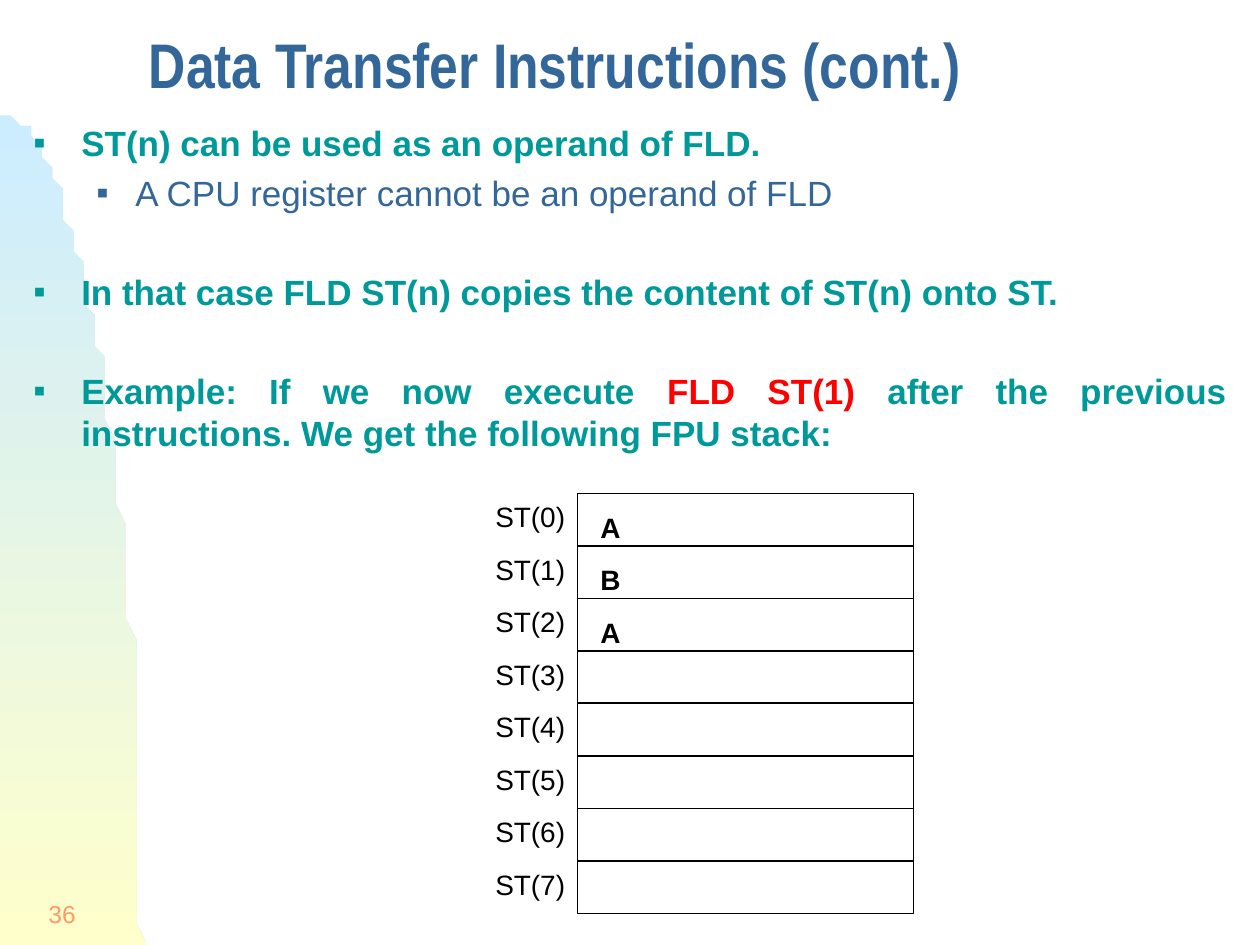
from lxml import etree
from pptx import Presentation
from pptx.dml.color import RGBColor
from pptx.enum.shapes import MSO_SHAPE
from pptx.enum.text import MSO_ANCHOR, PP_ALIGN
from pptx.oxml.ns import qn
from pptx.util import Inches, Pt

RECT = MSO_SHAPE.RECTANGLE
TOP, MIDDLE = MSO_ANCHOR.TOP, MSO_ANCHOR.MIDDLE
LEFT, RIGHT, JUSTIFY = PP_ALIGN.LEFT, PP_ALIGN.RIGHT, PP_ALIGN.JUSTIFY
COLORS = {"blue": "336699", "teal": "009999", "red": "FF0000", "black": "010000",
          "orange": "FF9966", "sky": "CCECFF", "cream": "FFFFCC"}
RGB = {name: RGBColor.from_string(value) for name, value in COLORS.items()}

# The slide is a grid of 120 columns by 90 rows
COLS, ROWS = 120, 90
U = Inches(10) // COLS

prs = Presentation()
prs.slide_width, prs.slide_height = COLS * U, ROWS * U
s = prs.slides.add_slide(prs.slide_layouts[6])


def add_run(p, text, size, color, bold=False, font="Arial"):
    r = p.add_run()
    r.text = text
    r.font.size, r.font.name, r.font.bold = Pt(size), font, bold
    r.font.color.rgb = RGB[color]


def add_box(col, row, width, height, wrap=True, anchor=TOP, align=LEFT):
    """Add a text box at a grid position and return its text frame."""
    box = s.shapes.add_textbox(*(int(n * U) for n in (col, row, width, height)))
    tf = box.text_frame
    tf.word_wrap, tf.vertical_anchor = wrap, anchor
    tf.paragraphs[0].alignment = align
    return tf


# Side curve: a cubic Bezier sampled into short segments
CURVE = [(0, 11), (7.4, 11), (13.5, 46.4), (13.5, ROWS)]
STEPS = 60
points = []
for i in range(1, STEPS + 1):
    t = i / STEPS
    weights = ((1 - t) ** 3, 3 * t * (1 - t) ** 2, 3 * t ** 2 * (1 - t), t ** 3)
    points.append(tuple(sum(w * c[axis] for w, c in zip(weights, CURVE)) for axis in (0, 1)))
builder = s.shapes.build_freeform(*CURVE[0], scale=U)
builder.add_line_segments(points + [(0, ROWS)], close=True)
sp = builder.convert_to_shape()
sp.shadow.inherit = False
sp.line.fill.background()
sp.fill.gradient()
sp.fill.gradient_angle = 270
for stop, position, name in zip(sp.fill.gradient_stops, (0, 1), ("sky", "cream")):
    stop.position, stop.color.rgb = position, RGB[name]

# Slide number and title
tf = add_box(0, 84, 8.4, 6, anchor=MIDDLE, align=RIGHT)
add_run(tf.paragraphs[0], "36", 14, "orange")

tf = add_box(13, 2, 103.5, 9.75, anchor=MIDDLE)
tf.paragraphs[0].line_spacing = 0.7
add_run(tf.paragraphs[0], "Data Transfer Instructions (cont.)", 36, "blue", True, "Arial Narrow")

# Bullets: level, space before, runs of text and colour
GAP, WIDE_GAP = 4.6, 32.4
BULLETS = [
    (0, GAP, [("ST(n) can be used as an operand of FLD.", "teal")]),
    (1, GAP, [("A CPU register cannot be an operand of FLD", "blue")]),
    (0, WIDE_GAP, [("In that case FLD ST(n) copies the content of ST(n) onto ST.", "teal")]),
    (0, WIDE_GAP, [("Example: If we now execute ", "teal"), ("FLD ST(1) ", "red"),
                   ("after the previous instructions. We get the following FPU stack:", "teal")]),
]
INDENTS = [(0.38, -0.38), (0.81, -0.31)]
tf = add_box(2, 11, 116, 33)
for i, (level, space, runs) in enumerate(BULLETS):
    p = tf.add_paragraph() if i else tf.paragraphs[0]
    p.alignment, p.level, p.space_before = JUSTIFY, level, Pt(space)
    for text, color in runs:
        add_run(p, text, 20, color, bold=level == 0)
    pPr = p._p.get_or_add_pPr()
    margin, indent = INDENTS[level]
    pPr.set("marL", str(Inches(margin)))
    pPr.set("indent", str(Inches(indent)))
    bu_color = etree.SubElement(pPr, qn("a:buClr"))
    etree.SubElement(bu_color, qn("a:srgbClr"), val=COLORS[runs[0][1]])
    etree.SubElement(pPr, qn("a:buFont"), typeface="Arial")
    etree.SubElement(pPr, qn("a:buChar"), char="▪")

# FPU stack: eight registers, the first three filled
STACK = ["A", "B", "A"] + [""] * 5
STACK_TOP, CELL_H = 47, 5
for i, value in enumerate(STACK):
    row = STACK_TOP + i * CELL_H
    sp = s.shapes.add_shape(RECT, 55 * U, row * U, 32 * U, CELL_H * U)
    sp.shadow.inherit = False
    sp.fill.background()
    sp.line.color.rgb, sp.line.width = RGB["black"], Pt(1)
    tf = add_box(46, row, 9.1, 4.4, wrap=False)
    add_run(tf.paragraphs[0], f"ST({i})", 16, "black")
    if value:
        tf = add_box(56, row + 1, 4.3, 4.4, wrap=False)
        add_run(tf.paragraphs[0], value, 16, "black", True)

prs.save("out.pptx")
